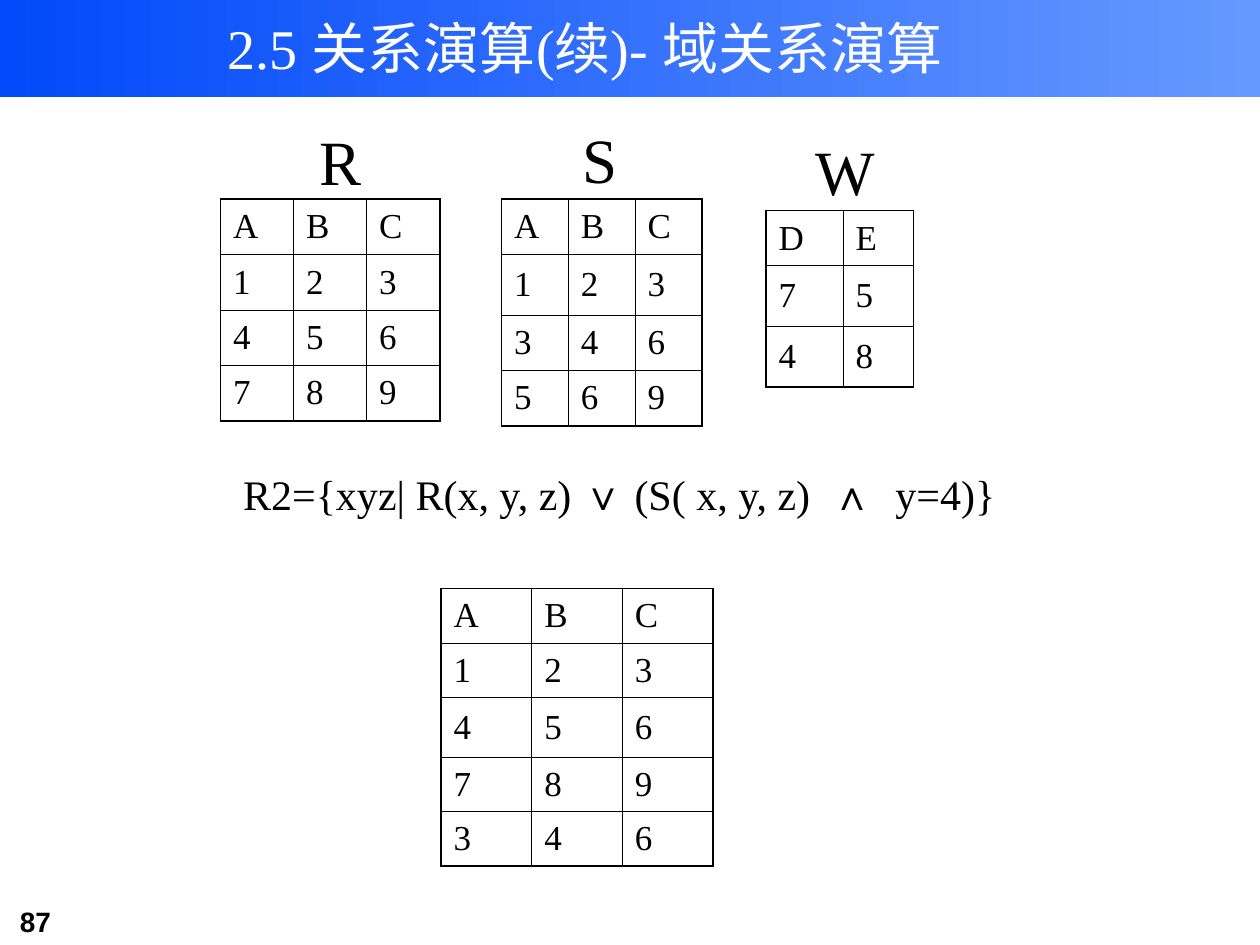
from lxml import etree
from pptx import Presentation
from pptx.dml.color import RGBColor
from pptx.enum.shapes import MSO_SHAPE
from pptx.enum.text import MSO_ANCHOR, MSO_AUTO_SIZE, PP_ALIGN
from pptx.oxml import parse_xml
from pptx.oxml.ns import nsdecls
from pptx.util import Inches, Pt

LEFT, CENTER = PP_ALIGN.LEFT, PP_ALIGN.CENTER
MIDDLE, TOP = MSO_ANCHOR.MIDDLE, MSO_ANCHOR.TOP
RECTANGLE = MSO_SHAPE.RECTANGLE
NO_AUTOFIT = MSO_AUTO_SIZE.NONE
SERIF, SANS = "Times New Roman", "Arial"
THICK, THIN = Pt(1.08), Pt(0.45)


def color(value):
    return RGBColor.from_string(value)


def write(frame, spans, size=20, ink="000000", bold=False, align=LEFT, anchor=TOP):
    """Fill a text frame with one paragraph of (text, font name) spans."""
    frame.word_wrap = True
    frame.vertical_anchor = anchor
    para = frame.paragraphs[0]
    para.alignment = align
    for text, font_name in spans:
        span = para.add_run()
        span.text = text
        span.font.name = font_name
        span.font.size = Pt(size)
        span.font.bold = bold
        span.font.color.rgb = color(ink)


deck = Presentation()
deck.slide_width, deck.slide_height = Inches(10), Inches(7.5)
page = deck.slides.add_slide(deck.slide_layouts[5])

# Title on its gradient band
title = page.shapes.title
title.left, title.top = Inches(1.04), Inches(0.04)
title.width, title.height = Inches(7.21), Inches(0.67)
title.text_frame.auto_size = NO_AUTOFIT
write(title.text_frame, [("2.5 关系演算(续)- 域关系演算", SERIF)],
      size=32, ink="FFFFFF", align=CENTER, anchor=MIDDLE)

band = page.shapes.add_shape(RECTANGLE, 0, 0, deck.slide_width, Inches(0.77))
band.shadow.inherit = False
band.line.fill.background()
band.fill.gradient()
band.fill.gradient_angle = 0
for stop, shade in zip(band.fill.gradient_stops, ("0249FA", "6699FF")):
    stop.color.rgb = color(shade)
title.element.addprevious(band.element)

# Relation names, formula and page number
formula = [("R2={xyz| R(x, y, z) ", SERIF), ("∨", SANS), (" (S( x, y, z)  ", SERIF),
           ("∧ ", SANS), (" y=4)}", SERIF)]
labels = [
    (2.33, 0.92, 0.75, 0.7, [("R", SERIF)], {"size": 36, "align": CENTER}),
    (4.39, 0.91, 0.75, 0.7, [("S", SERIF)], {"size": 36, "align": CENTER}),
    (6.33, 1, 0.75, 0.7, [("W", SERIF)], {"size": 36, "align": CENTER}),
    (1.08, 3.67, 7.67, 0.5, formula, {"size": 24, "align": CENTER}),
    (0.06, 7.13, 1.22, 0.37, [("87", SANS)], {"size": 16, "bold": True}),
]
for left, top, width, height, spans, style in labels:
    box = page.shapes.add_textbox(Inches(left), Inches(top), Inches(width), Inches(height))
    write(box.text_frame, spans, **style)

# Relations R, S, W and the result: left, top, column widths, row heights, rows
relations = [
    (1.75, 1.58, [0.58] * 3, [0.44] * 4, ["ABC", "123", "456", "789"]),
    (3.98, 1.58, [0.53] * 3, [0.44, 0.48, 0.44, 0.44], ["ABC", "123", "346", "569"]),
    (6.08, 1.67, [0.61, 0.56], [0.44, 0.48, 0.48], ["DE", "75", "48"]),
    (3.5, 4.67, [0.72] * 3, [0.43, 0.43, 0.47, 0.43, 0.43],
     ["ABC", "123", "456", "789", "346"]),
]
for left, top, widths, heights, rows in relations:
    table = page.shapes.add_table(len(rows), len(widths), Inches(left), Inches(top),
                                  Inches(sum(widths)), Inches(sum(heights))).table
    table.first_row = table.horz_banding = False
    for column, width in zip(table.columns, widths):
        column.width = Inches(width)
    for row, height in zip(table.rows, heights):
        row.height = Inches(height)
    last_row, last_column = len(rows) - 1, len(widths) - 1
    for r, values in enumerate(rows):
        for c, value in enumerate(values):
            cell = table.cell(r, c)
            write(cell.text_frame, [(value, SERIF)])
            cell.vertical_anchor = MIDDLE
            outer_edges = {"lnL": c == 0, "lnR": c == last_column,
                           "lnT": r == 0, "lnB": r == last_row}
            properties = cell._tc.get_or_add_tcPr()
            for edge, is_outer in outer_edges.items():
                border = parse_xml(f'<a:{edge} {nsdecls("a")}><a:solidFill>'
                                   f'<a:srgbClr val="000000"/></a:solidFill></a:{edge}>')
                border.set("w", str(THICK if is_outer else THIN))
                properties.append(border)
            cell.fill.background()

deck.save("out.pptx")
